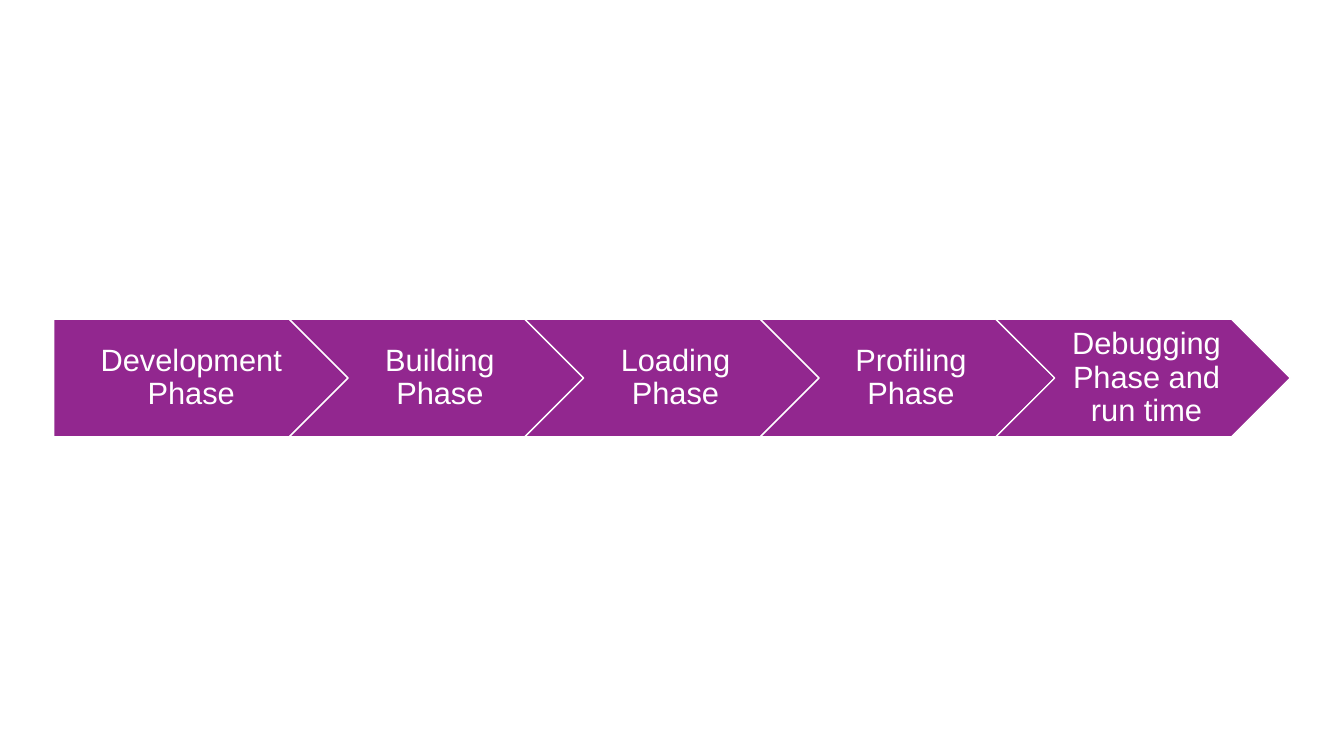
from dataclasses import dataclass

from pptx import Presentation
from pptx.dml.color import RGBColor
from pptx.enum.shapes import MSO_SHAPE as Shape
from pptx.enum.text import MSO_ANCHOR as Anchor, PP_ALIGN as Align
from pptx.util import Inches, Pt

PHASES = [
    "Development Phase",
    "Building Phase",
    "Loading Phase",
    "Profiling Phase",
    "Debugging Phase and run time",
]


@dataclass(frozen=True)
class Theme:
    purple: RGBColor = RGBColor(0x92, 0x27, 0x8F)
    white: RGBColor = RGBColor(0xFF, 0xFF, 0xFF)
    font: str = "Arial"
    size: int = 22
    outline: int = 1


THEME = Theme()
SLIDE_W, SLIDE_H = 13.33, 7.5
STEP_W = 2.92
STEP_H = STEP_W * 0.4
PITCH = STEP_W * 0.8
LEFT = (SLIDE_W - PITCH * (len(PHASES) - 1) - STEP_W) / 2
TOP = (SLIDE_H - STEP_H) / 2


def add_phase(slide, index, label):
    first = index == 0
    sp = slide.shapes.add_shape(
        Shape.PENTAGON if first else Shape.CHEVRON,
        Inches(LEFT + index * PITCH), Inches(TOP), Inches(STEP_W), Inches(STEP_H),
    )
    sp.shadow.inherit = False
    sp.fill.solid()
    sp.fill.fore_color.rgb = THEME.purple
    sp.line.color.rgb = THEME.white
    sp.line.width = Pt(THEME.outline)

    tf = sp.text_frame
    tf.word_wrap = True
    tf.vertical_anchor = Anchor.MIDDLE
    tf.margin_left = Inches(0.13 if first else 0.1)
    tf.margin_right = Inches(0.03)
    tf.margin_top = tf.margin_bottom = Inches(0.06)
    tf.text = label
    p = tf.paragraphs[0]
    p.alignment = Align.CENTER
    p.line_spacing = 0.9
    r = p.runs[0]
    r.font.name = THEME.font
    r.font.size = Pt(THEME.size)
    r.font.color.rgb = THEME.white


def main():
    prs = Presentation()
    prs.slide_width, prs.slide_height = Inches(SLIDE_W), Inches(SLIDE_H)
    slide = prs.slides.add_slide(prs.slide_layouts[6])
    for index, label in enumerate(PHASES):
        add_phase(slide, index, label)
    prs.save("out.pptx")


if __name__ == "__main__":
    main()
